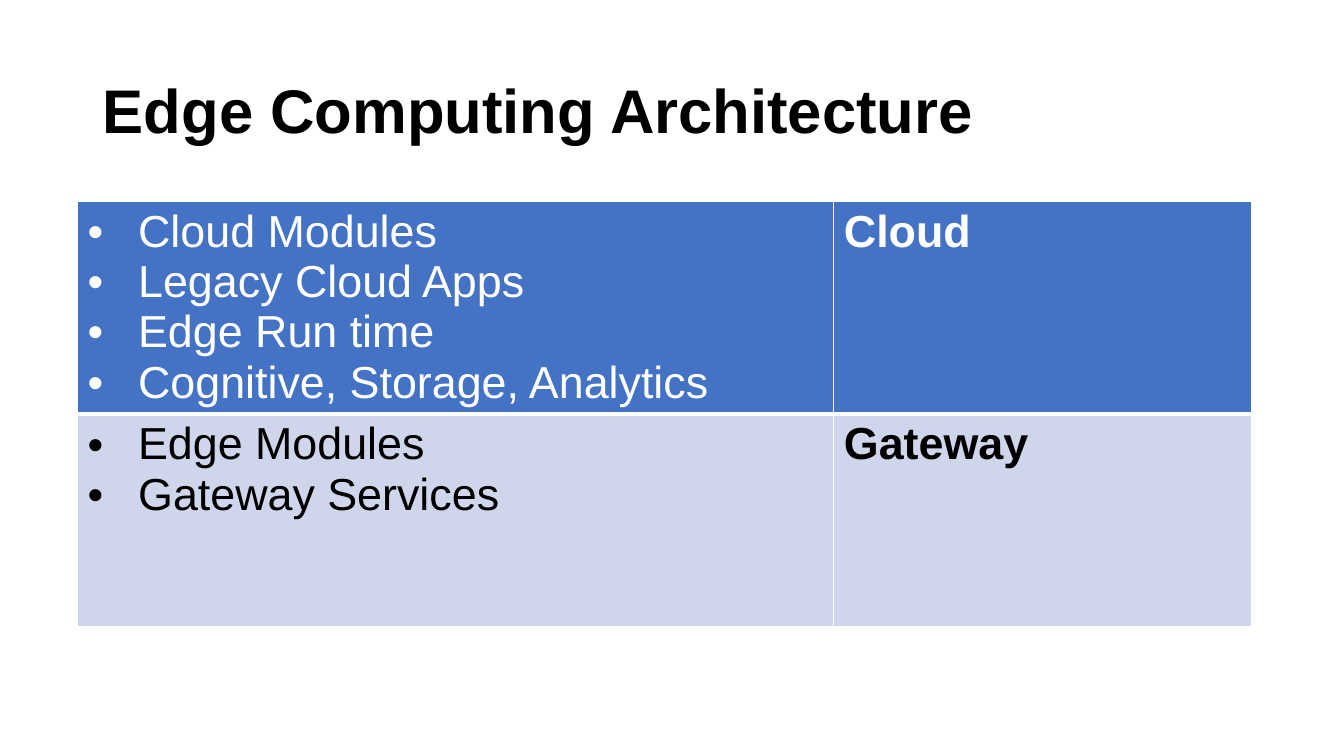
from pptx import Presentation
from pptx.dml.color import RGBColor
from pptx.enum.text import MSO_ANCHOR, PP_ALIGN
from pptx.oxml.ns import qn
from pptx.util import Inches, Pt
from lxml import etree

MIDDLE = MSO_ANCHOR.MIDDLE
LEFT = PP_ALIGN.LEFT
FONT = "Arial"
COLORS = {"header": "4472C4", "body": "CFD5EA", "light": "FFFFFF", "dark": "000000"}
COL_WIDTHS = (7.5, 4.14)
ROW_HEIGHT = 2.11
LAYERS = [
    (["Cloud Modules", "Legacy Cloud Apps", "Edge Run time",
      "Cognitive, Storage, Analytics"], "Cloud", "header", "light"),
    (["Edge Modules", "Gateway Services"], "Gateway", "body", "dark"),
]


def rgb(name):
    return RGBColor.from_string(COLORS[name])


def add_run(p, text, size, color, bold):
    r = p.add_run()
    r.text = text
    r.font.name = FONT
    r.font.size = Pt(size)
    r.font.bold = bold
    r.font.color.rgb = rgb(color)


def add_title(s, text):
    sp = s.shapes.title
    sp.left, sp.top = Inches(0.92), Inches(0.4)
    sp.width, sp.height = Inches(11.5), Inches(1.45)
    tf = sp.text_frame
    tf.vertical_anchor = MIDDLE
    tf.word_wrap = True
    p = tf.paragraphs[0]
    p.alignment = LEFT
    p.line_spacing = 0.9
    add_run(p, text, 44, "dark", True)


def set_bullet(p):
    pPr = p._p.get_or_add_pPr()
    pPr.set("marL", str(Inches(0.5)))
    pPr.set("indent", str(-Inches(0.5)))
    etree.SubElement(pPr, qn("a:buFont")).set("typeface", FONT)
    etree.SubElement(pPr, qn("a:buChar")).set("char", "•")


def set_borders(cell, top, bottom):
    tcPr = cell._tc.get_or_add_tcPr()
    for side, width in (("L", 1), ("R", 1), ("T", top), ("B", bottom)):
        ln = etree.SubElement(tcPr, qn(f"a:ln{side}"), w=str(Pt(width)))
        fill = etree.SubElement(ln, qn("a:solidFill"))
        etree.SubElement(fill, qn("a:srgbClr")).set("val", COLORS["light"])


def fill_cell(cell, lines, color, bulleted):
    tf = cell.text_frame
    for i, line in enumerate(lines):
        p = tf.add_paragraph() if i else tf.paragraphs[0]
        if bulleted:
            set_bullet(p)
        add_run(p, line, 32, color, not bulleted)


def add_layer_table(s, layers):
    frame = s.shapes.add_table(len(layers), len(COL_WIDTHS), Inches(0.77), Inches(2),
                               Inches(sum(COL_WIDTHS)), Inches(ROW_HEIGHT * len(layers)))
    table = frame.table
    for column, width in zip(table.columns, COL_WIDTHS):
        column.width = Inches(width)
    for i, (modules, layer, fill, color) in enumerate(layers):
        table.rows[i].height = Inches(ROW_HEIGHT)
        for j, lines in enumerate((modules, [layer])):
            cell = table.cell(i, j)
            set_borders(cell, 3 if i == 1 else 1, 3 if i == 0 else 1)
            cell.fill.solid()
            cell.fill.fore_color.rgb = rgb(fill)
            fill_cell(cell, lines, color, j == 0)


def main():
    prs = Presentation()
    prs.slide_width, prs.slide_height = Inches(13.33), Inches(7.5)
    s = prs.slides.add_slide(prs.slide_layouts[5])
    add_title(s, "Edge Computing Architecture")
    add_layer_table(s, LAYERS)
    prs.save("out.pptx")


if __name__ == "__main__":
    main()
